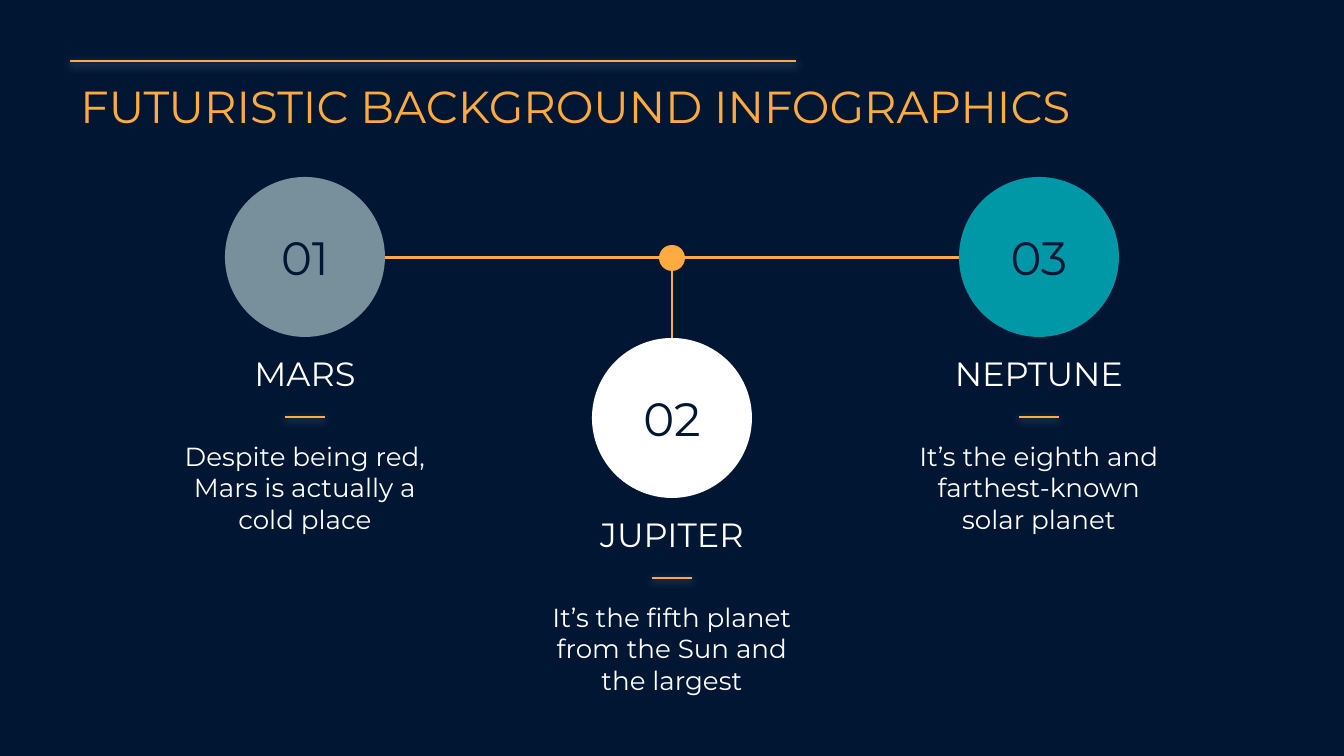
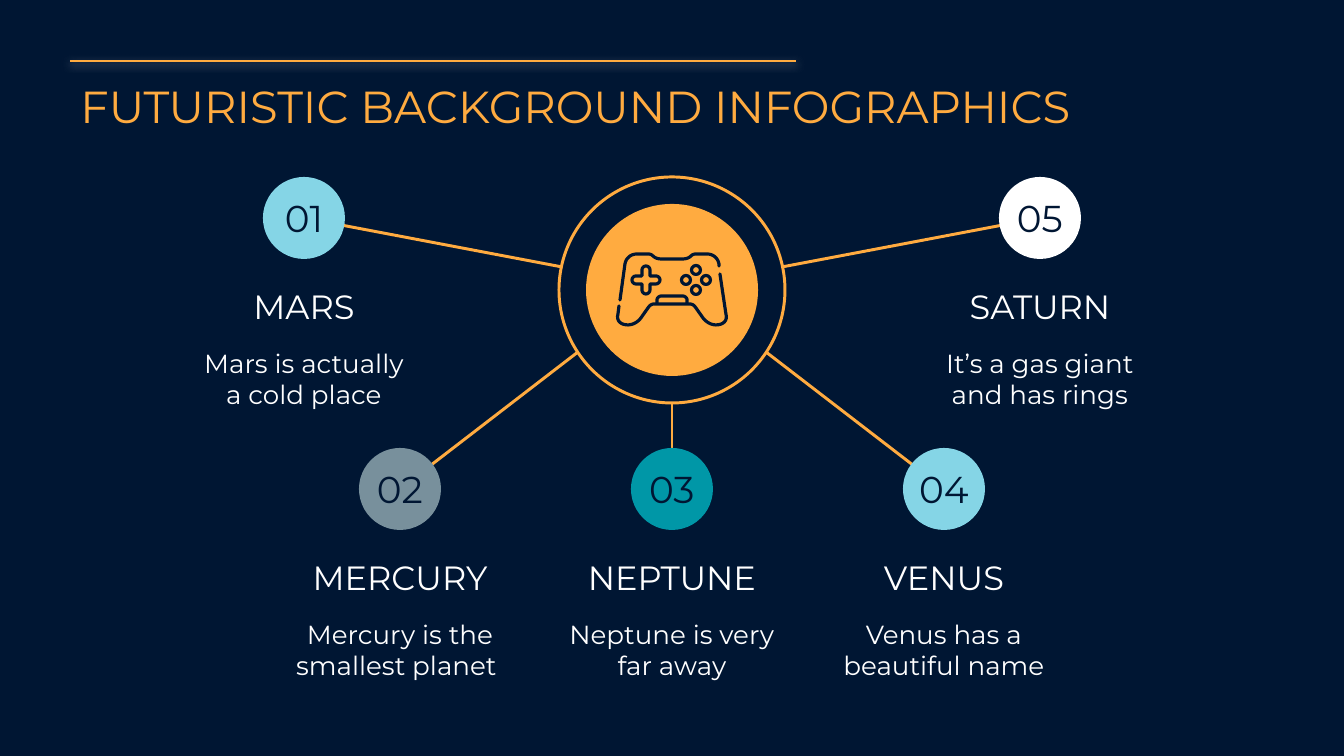
from math import cos, hypot, pi, sin

from lxml import etree
from pptx import Presentation
from pptx.dml.color import RGBColor
from pptx.enum.shapes import MSO_CONNECTOR, MSO_SHAPE
from pptx.enum.text import MSO_ANCHOR, MSO_AUTO_SIZE, PP_ALIGN
from pptx.oxml.ns import qn
from pptx.util import Emu, Pt

SCALE = 914400 / 134.4
FONT = "Montserrat"
NAVY, ORANGE, WHITE = "001633", "FFAB40", "FFFFFF"
TEAL, GREY, SKY = "0097A7", "78909C", "85D5E6"
TITLE = "FUTURISTIC BACKGROUND INFOGRAPHICS"

JUNCTION = (672, 258)
PLANETS = [
    ("01", "MARS", "Despite being red, Mars is actually a cold place", GREY, (305, 257)),
    ("02", "JUPITER", "It’s the fifth planet from the Sun and the largest", WHITE, (672, 418)),
    ("03", "NEPTUNE", "It’s the eighth and farthest-known solar planet", TEAL, (1039, 257)),
]

HUB = (672, 290)
SPOKES = [
    ("01", "MARS", "Mars is actually a cold place", SKY, (304, 218), (562, 267)),
    ("02", "MERCURY", "Mercury is the smallest planet ", GREY, (400, 489), (578, 352)),
    ("03", "NEPTUNE", "Neptune is very far away", TEAL, (672, 489), (672, 403)),
    ("04", "VENUS", "Venus has a beautiful name", SKY, (944, 489), (766, 352)),
    ("05", "SATURN", "It’s a gas giant and has rings", WHITE, (1040, 218), (782, 267)),
]

GAMEPAD = [
    ((-53, 306), (48, 274), (0, 304), [
        [(17, 304)], [(20, 304), (22, 305), (24, 308)], [(31, 318)],
        [(34, 322), (39, 325), (44, 325)], [(51, 325), (56, 321), (54, 314)]]),
    ((-52, 300), (47, 266), (0, 259), [
        [(11, 259)], [(14, 259), (17, 258), (19, 256)],
        [(21, 254), (23, 254), (25, 254)], [(35, 254)],
        [(41, 254), (46, 258), (47, 264)]]),
    ((-15, 303), (15, 303), (0, 296), [
        [(10, 296)], [(13, 296), (15, 298), (15, 300)]]),
]
PAD_CENTRE, PAD_ARM, PAD_RADIUS = (646, 280), 10, 4
BUTTONS_CENTRE, BUTTON_REACH, BUTTON_SIZE = (696, 280), 10, 9


def px(n):
    return Emu(round(n * SCALE))


def rgb(value):
    return RGBColor.from_string(value)


def put_text(shape, text, size, color, align=PP_ALIGN.CENTER, anchor=MSO_ANCHOR.TOP, wrap=True):
    tf = shape.text_frame
    tf.word_wrap = wrap
    tf.auto_size = MSO_AUTO_SIZE.NONE
    tf.vertical_anchor = anchor
    tf.margin_left = tf.margin_right = tf.margin_top = tf.margin_bottom = Emu(91440)
    p = tf.paragraphs[0]
    p.alignment = align
    r = p.add_run()
    r.text = text
    r.font.name, r.font.size = FONT, Pt(size)
    r.font.color.rgb = rgb(color)


def add_text(s, x, y, w, h, text, **fmt):
    put_text(s.shapes.add_textbox(px(x), px(y), px(w), px(h)), text, **fmt)


def add_line(s, start, end, width=1.6, glow=False):
    line = s.shapes.add_connector(MSO_CONNECTOR.STRAIGHT, *map(px, start + end))
    line.line.color.rgb = rgb(ORANGE)
    line.line.width = Pt(width)
    effects = etree.SubElement(line._element.spPr, qn("a:effectLst"))
    if glow:
        shadow = etree.SubElement(effects, qn("a:outerShdw"), blurRad=str(Pt(4.5)),
                                  dist=str(Pt(1.5)), dir="5400000", algn="bl", rotWithShape="0")
        color = etree.SubElement(shadow, qn("a:srgbClr"), val=WHITE)
        etree.SubElement(color, qn("a:alpha"), val="50000")


def paint(shape, fill=None, line=None, width=1.6):
    shape.shadow.inherit = False
    if fill:
        shape.fill.solid()
        shape.fill.fore_color.rgb = rgb(fill)
    else:
        shape.fill.background()
    if line:
        shape.line.color.rgb = rgb(line)
        shape.line.width = Pt(width)
    else:
        shape.line.fill.background()


def add_circle(s, centre, size, **look):
    x, y = centre
    circle = s.shapes.add_shape(MSO_SHAPE.OVAL, px(x - size / 2), px(y - size / 2),
                                px(size), px(size))
    paint(circle, **look)
    return circle


def add_stroke(s, points, close=False):
    points = [(px(x), px(y)) for x, y in points]
    builder = s.shapes.build_freeform(*points[0], scale=1.0)
    builder.add_line_segments(points[1:], close=close)
    stroke = builder.convert_to_shape()
    paint(stroke, line=NAVY, width=1.7)
    stroke.line._get_or_add_ln().set("cap", "rnd")


def trace(start, segments, steps=8):
    points = [start]
    for segment in segments:
        if len(segment) == 1:
            points += segment
            continue
        curve = [points[-1]] + segment
        for i in range(1, steps + 1):
            t = i / steps
            weights = ((1 - t) ** 3, 3 * t * (1 - t) ** 2, 3 * t * t * (1 - t), t ** 3)
            points.append(tuple(sum(w * c[k] for w, c in zip(weights, curve)) for k in (0, 1)))
    return points


def add_gamepad(s):
    for left_end, right_end, start, segments in GAMEPAD:
        half = trace(start, segments)
        mirrored = [(-x, y) for x, y in reversed(half[1:])]
        outline = [left_end] + mirrored + half + [right_end]
        add_stroke(s, [(HUB[0] + x, y) for x, y in outline])

    x, y = PAD_CENTRE
    corner = hypot(PAD_RADIUS, PAD_RADIUS)
    cross = []
    for quarter in range(4):
        a = quarter * pi / 2
        for step in range(-4, 5):
            b = a + step * pi / 8
            cross.append((x + PAD_ARM * cos(a) + PAD_RADIUS * cos(b),
                          y + PAD_ARM * sin(a) + PAD_RADIUS * sin(b)))
        cross.append((x + corner * cos(a + pi / 4), y + corner * sin(a + pi / 4)))
    add_stroke(s, cross, close=True)

    x, y = BUTTONS_CENTRE
    for dx, dy in ((0, -1), (1, 0), (0, 1), (-1, 0)):
        add_circle(s, (x + dx * BUTTON_REACH, y + dy * BUTTON_REACH), BUTTON_SIZE,
                   line=NAVY, width=1.7)


def add_planet(s, number, name, fact, color, centre, size, number_size,
               width, name_dy, fact_dy, fact_height):
    x, y = centre
    put_text(add_circle(s, centre, size, fill=color), number, number_size, NAVY,
             anchor=MSO_ANCHOR.MIDDLE, wrap=False)
    left = x - width / 2
    add_text(s, left, y + name_dy, width, 81, name, size=18, color=WHITE,
             anchor=MSO_ANCHOR.BOTTOM)
    add_text(s, left, y + fact_dy, width, fact_height, fact, size=14, color=WHITE)


def new_slide(prs):
    s = prs.slides.add_slide(prs.slide_layouts[5])
    add_line(s, (70, 61), (796, 61), width=0.75, glow=True)
    title = s.shapes.title
    title.left, title.top, title.width, title.height = map(px, (67, 65, 1176, 70))
    put_text(title, TITLE, 24, ORANGE, align=PP_ALIGN.LEFT)
    return s


def build_timeline(prs):
    s = new_slide(prs)
    (left, _), (_, top), (right, _) = [planet[-1] for planet in PLANETS]
    add_line(s, (left, JUNCTION[1]), (right, JUNCTION[1]))
    add_line(s, JUNCTION, (JUNCTION[0], top))
    add_circle(s, JUNCTION, 26, fill=ORANGE)
    for planet in PLANETS:
        add_planet(s, *planet, size=160, number_size=25, width=269,
                   name_dy=69, fact_dy=170, fact_height=112)
        x, y = planet[-1]
        add_line(s, (x - 20, y + 160), (x + 20, y + 160), width=0.75, glow=True)


def build_hub(prs):
    s = new_slide(prs)
    add_circle(s, HUB, 226, line=ORANGE)
    add_circle(s, HUB, 172, fill=ORANGE)
    for *planet, rim in SPOKES:
        add_line(s, planet[-1], rim)
        add_planet(s, *planet, size=82, number_size=20, width=242,
                   name_dy=41, fact_dy=116, fact_height=94)
    add_gamepad(s)


def main():
    prs = Presentation()
    prs.slide_width, prs.slide_height = px(1344), px(756)
    background = prs.slide_master.background.fill
    background.solid()
    background.fore_color.rgb = rgb(NAVY)
    build_timeline(prs)
    build_hub(prs)
    prs.save("out.pptx")


if __name__ == "__main__":
    main()
